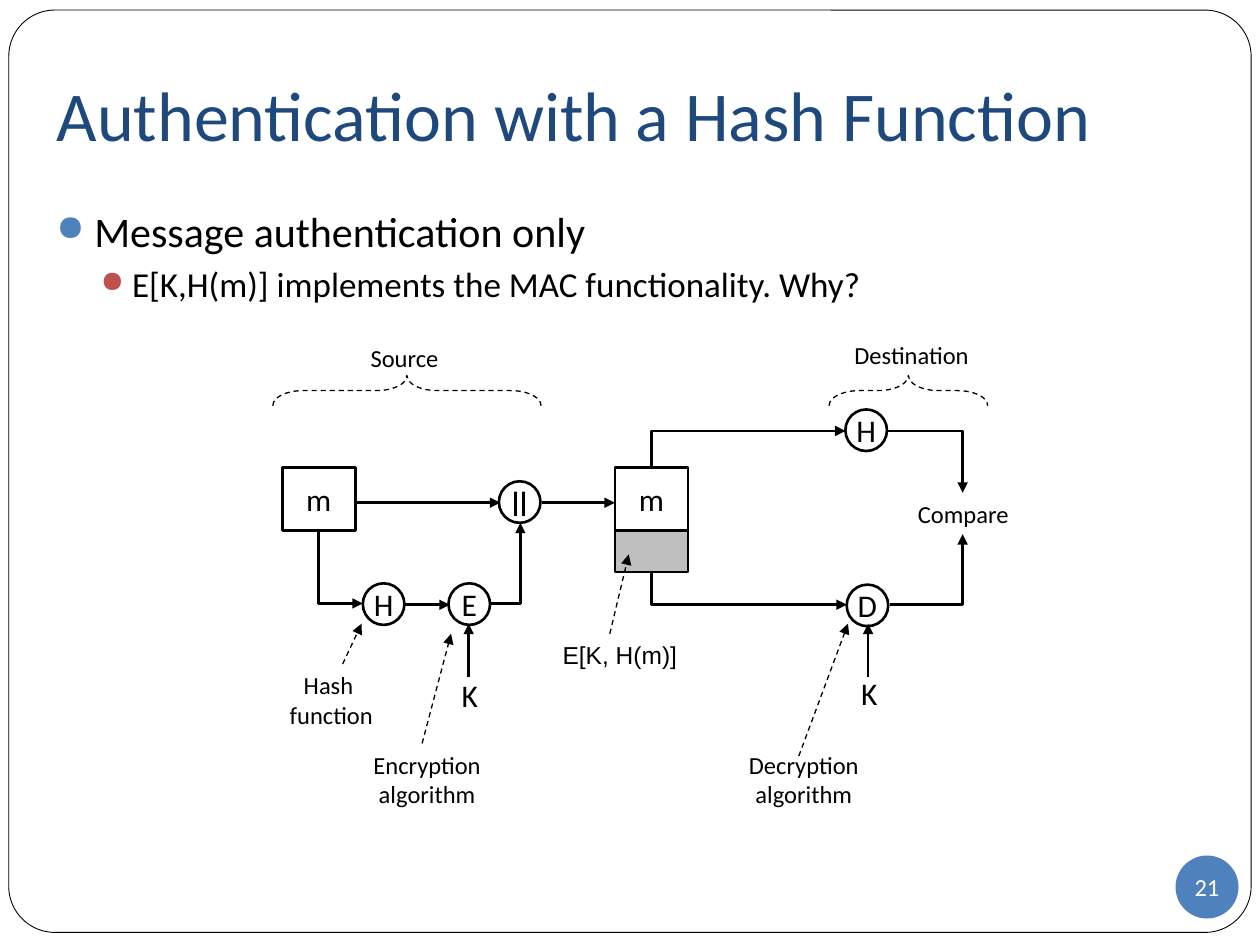
from lxml import etree
from pptx import Presentation
from pptx import util as u
from pptx.dml.color import RGBColor
from pptx.enum import dml, shapes, text
from pptx.oxml import ns

BLACK = RGBColor(0x00, 0x00, 0x00)
WHITE = RGBColor(0xFF, 0xFF, 0xFF)
GREY = RGBColor(0xBF, 0xBF, 0xBF)
BLUE = RGBColor(0x4F, 0x81, 0xBD)
RED = RGBColor(0xC0, 0x50, 0x4D)
NAVY = RGBColor(0x1F, 0x49, 0x7D)
KIND = shapes.MSO_SHAPE
CENTER = text.PP_ALIGN.CENTER
LEFT = text.PP_ALIGN.LEFT

deck = Presentation()
deck.slide_width, deck.slide_height = u.Inches(10), u.Inches(7.5)
CELL = deck.slide_width / 100
page = deck.slides.add_slide(deck.slide_layouts[5])


def write(box, lines, size, color=BLACK, align=CENTER, font="Calibri", inset=None):
    frame = box.text_frame
    layout = {"word_wrap": True, "auto_size": text.MSO_AUTO_SIZE.NONE}
    if inset is not None:
        sides = ("left", "top", "right", "bottom")
        layout.update({f"margin_{side}": inset for side in sides})
        layout.update(word_wrap=False, vertical_anchor=text.MSO_ANCHOR.MIDDLE)
    for name, value in layout.items():
        setattr(frame, name, value)
    for index, line in enumerate(lines):
        para = frame.paragraphs[0] if index == 0 else frame.add_paragraph()
        para.alignment = align
        span = para.add_run()
        span.text = line
        for name, value in {"name": font, "size": u.Pt(size)}.items():
            setattr(span.font, name, value)
        span.font.color.rgb = color


def draw(kind, cells, fill=None, width=1.5):
    box = page.shapes.add_shape(kind, *(int(cell * CELL) for cell in cells))
    box.shadow.inherit = False
    if fill is None:
        box.fill.background()
    else:
        box.fill.solid()
        box.fill.fore_color.rgb = fill
    if width:
        box.line.color.rgb = BLACK
        box.line.width = u.Pt(width)
    else:
        box.line.fill.background()
    return box


border = draw(KIND.ROUNDED_RECTANGLE, (0.7, 0.8, 98.6, 73.2), WHITE, 0.5)
border.adjustments[0] = 0.05
page.shapes._spTree.insert(2, border._element)

title = page.shapes.title
place = dict(zip(("left", "top", "width", "height"), (3.5, 3, 93.7, 12.5)))
for name, value in place.items():
    setattr(title, name, int(value * CELL))
write(title, ["Authentication with a Hash Function"], 40, NAVY, LEFT)
title.text_frame.vertical_anchor = text.MSO_ANCHOR.MIDDLE
title.text_frame.margin_bottom = u.Inches(0.1)

body = page.shapes.add_textbox(*(int(cell * CELL) for cell in (3.5, 15.8, 93.7, 10)))
body.text_frame.word_wrap = True
bullets = [
    ("Message authentication only", 24, BLUE, 0.3, 0.3, 0),
    ("E[K,H(m)] implements the MAC functionality. Why?", 20, RED, 0.6, 0.25, 3.7),
]
for level, (line, size, color, indent, hang, before) in enumerate(bullets):
    para = body.text_frame.add_paragraph() if level else body.text_frame.paragraphs[0]
    para.level = level
    props = para._p.get_or_add_pPr()
    props.set("marL", str(u.Inches(indent)))
    props.set("indent", str(-u.Inches(hang)))
    tint = etree.SubElement(props, ns.qn("a:buClr"))
    etree.SubElement(tint, ns.qn("a:srgbClr")).set("val", str(color))
    etree.SubElement(props, ns.qn("a:buSzPct")).set("val", "85000")
    etree.SubElement(props, ns.qn("a:buChar")).set("char", "●")
    para.space_before = u.Pt(before)
    span = para.add_run()
    span.text = line
    for name, value in {"name": "Calibri", "size": u.Pt(size)}.items():
        setattr(span.font, name, value)
    span.font.color.rgb = BLACK

badge = draw(KIND.OVAL, (93.3, 67.9, 5, 5), BLUE, 0)
write(badge, ["21"], 14, WHITE, inset=0)

for left in (22.4, 48.8):
    write(draw(KIND.RECTANGLE, (left, 37.1, 5.8, 5)), ["m"], 18, inset=0)
draw(KIND.RECTANGLE, (48.8, 42.1, 5.8, 3.3), GREY)

nodes = [
    ("H", 28.8, 46.3, 18),
    ("E", 35.6, 46.3, 18),
    ("ll", 39.6, 38.2, 20),
    ("H", 67.1, 32.5, 18),
    ("D", 67.2, 46.4, 18),
]
for letter, left, top, size in nodes:
    write(draw(KIND.OVAL, (left, top, 3.3, 3.3)), [letter], size, inset=0)

for middle, span_width in ((32.3, 21.3), (72.1, 12.6)):
    brace = draw(KIND.RIGHT_BRACE, (middle - 1.2, 31 - span_width / 2, 2.4, span_width), None, 0.75)
    brace.rotation = 270
    brace.adjustments[0] = 1
    brace.line.dash_style = dml.MSO_LINE.DASH

labels = [
    (["Source"], (24, 26.7, 16.2, 3.4), 14, "Calibri"),
    (["Destination"], (64.2, 26.5, 16.3, 3.4), 14, "Calibri"),
    (["Compare"], (71.3, 39.1, 10.3, 3.4), 14, "Calibri"),
    (["Hash ", "function"], (21.6, 52.7, 9.4, 5.7), 14, "Calibri"),
    (["Encryption algorithm"], (27.2, 59, 13.4, 5.7), 14, "Calibri"),
    (["Decryption algorithm"], (57.1, 59, 13.4, 5.7), 14, "Calibri"),
    (["E[K, H(m)]"], (42.9, 50.3, 12.6, 3.4), 14, "Arial"),
    (["K"], (35, 53.2, 4.6, 4), 18, "Calibri"),
    (["K"], (66.7, 53, 4.6, 4), 18, "Calibri"),
]
for lines, cells, size, font in labels:
    label = page.shapes.add_textbox(*(int(cell * CELL) for cell in cells))
    write(label, lines, size, font=font)

flows = [
    (28.1, 39.9, 39.7, 39.9),
    (43, 39.9, 48.8, 39.9),
    (32.1, 48, 35.7, 48),
    (37.2, 53.7, 37.2, 49.5),
    (68.9, 53.7, 68.9, 49.5),
]
pointers = [
    (27.2, 52.7, 28.7, 49.5),
    (33.5, 59, 35.8, 50.3),
    (63.4, 60, 67.3, 49.5),
    (48.4, 50.3, 49.9, 44),
]
turns_out = [
    (38.9, 47.9, 41.3, 41.5),
    (70.5, 34.2, 76.4, 39.1),
    (70.6, 48, 76.4, 42.4),
]
turns_in = [
    (28.8, 47.9, 25.3, 42.1),
    (67.1, 34.2, 51.7, 37.1),
    (67.2, 48, 51.7, 45.4),
]
STRAIGHT, ELBOW = shapes.MSO_CONNECTOR.STRAIGHT, shapes.MSO_CONNECTOR.ELBOW
groups = [
    (flows, STRAIGHT, 1.5, "a:tailEnd"),
    (pointers, STRAIGHT, 0.75, "a:tailEnd"),
    (turns_out, ELBOW, 1.5, "a:tailEnd"),
    (turns_in, ELBOW, 1.5, "a:headEnd"),
]
for arrows, kind, width, arrow_end in groups:
    for ends in arrows:
        arrow = page.shapes.add_connector(kind, *(int(cell * CELL) for cell in ends))
        arrow.line.color.rgb = BLACK
        arrow.line.width = u.Pt(width)
        if arrows is pointers:
            arrow.line.dash_style = dml.MSO_LINE.DASH
        props = arrow._element.spPr
        if kind == ELBOW:
            props.find(ns.qn("a:prstGeom")).set("prst", "bentConnector2")
        tip = etree.SubElement(props.find(ns.qn("a:ln")), ns.qn(arrow_end))
        tip.set("type", "triangle")
        etree.SubElement(props, ns.qn("a:effectLst"))

deck.save("out.pptx")
